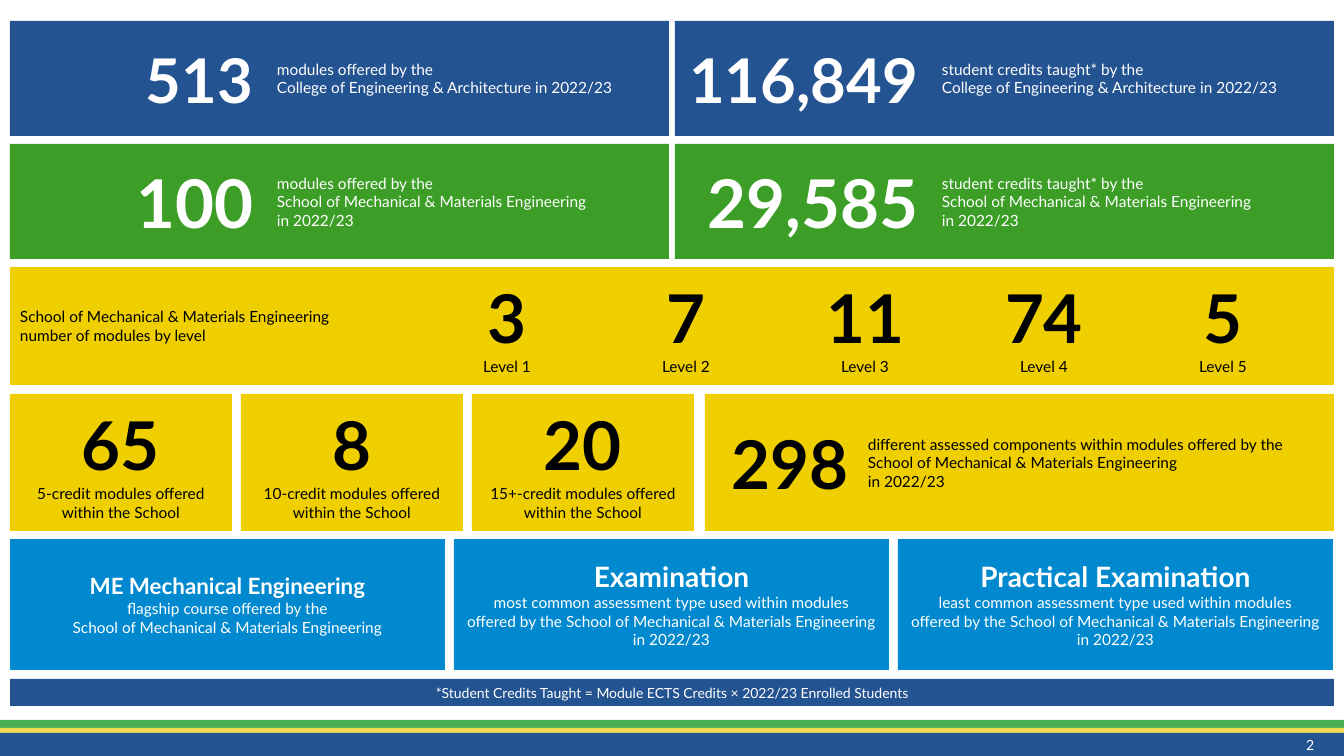
from pptx import Presentation
from pptx.dml.color import RGBColor
from pptx.enum.shapes import MSO_SHAPE as SHAPE
from pptx.enum.text import MSO_ANCHOR as ANCHOR, PP_ALIGN as ALIGN
from pptx.util import Emu, Pt

FONT = "Lato"
WHITE, BLACK = "FFFFFF", "000000"
NAVY, GREEN, YELLOW, BLUE = "245391", "3C9E27", "EFCF00", "0089CF"
BAND_GREEN, BAND_YELLOW = "4AAF55", "F4DB52"
SCHOOL = "School of Mechanical & Materials Engineering"
COLLEGE = "College of Engineering & Architecture in 2022/23"
YEAR = "in 2022/23"
LEFT, FULL_WIDTH = 10, 1324


def px(length):
    return Emu(round(length * 914400 / 100.8))


def color(code):
    return RGBColor.from_string(code)


def write(box, lines, ink, align=ALIGN.LEFT, indent=0):
    """Fill a box with paragraphs given as (text, size, bold)."""
    frame = box.text_frame
    frame.word_wrap = True
    frame.vertical_anchor = ANCHOR.MIDDLE
    frame.text = "\n".join(text for text, size, bold in lines)
    for para, (text, size, bold) in zip(frame.paragraphs, lines):
        para.alignment = align
        if indent:
            para._p.get_or_add_pPr().set("marL", str(px(indent)))
        font = para.runs[0].font
        font.name, font.size, font.bold = FONT, Pt(size), bold
        font.color.rgb = color(ink)


def add_tile(page, place, fill):
    tile = page.shapes.add_shape(SHAPE.RECTANGLE, *map(px, place))
    tile.shadow.inherit = False
    tile.fill.solid()
    tile.fill.fore_color.rgb = color(fill)
    tile.line.fill.background()
    return tile


def add_label(page, place, text, size, bold, ink):
    """Right-aligned text without a background."""
    label = page.shapes.add_textbox(*map(px, place))
    write(label, [(text, size, bold)], ink, ALIGN.RIGHT)


def body(*texts):
    return [(text, 11, False) for text in texts]


def add_side_tile(page, place, fill, ink, number, size, texts, indent, number_width):
    """Large number on the left, description beside it."""
    left, top, width, height = place
    write(add_tile(page, place, fill), body(*texts), ink, indent=indent)
    add_label(page, (left, top, number_width, height), number, size, True, ink)


def add_stacked_tile(page, place, fill, ink, heading, size, texts):
    """Large heading above a centred description."""
    lines = [(heading, size, True)] + body(*texts)
    write(add_tile(page, place, fill), lines, ink, ALIGN.CENTER)


def main():
    deck = Presentation()
    deck.slide_width, deck.slide_height = px(1344), px(756)
    page = deck.slides.add_slide(deck.slide_layouts[6])

    # Footer bands and page number
    for top, height, fill in [(720, 8, BAND_GREEN), (728, 5, BAND_YELLOW), (733, 23, NAVY)]:
        add_tile(page, (0, top, 1344, height), fill)
    add_label(page, (1283, 733, 41, 23), "2", 10, False, WHITE)

    # College and school totals
    totals = [
        (21, NAVY, 44, ("513", "116,849"), [COLLEGE]),
        (144, GREEN, 48, ("100", "29,585"), [SCHOOL, YEAR]),
    ]
    openings = ("modules offered by the", "student credits taught* by the")
    for top, fill, size, numbers, unit in totals:
        for column, (number, opening) in enumerate(zip(numbers, openings)):
            place = (LEFT + 665 * column, top, 659, 115)
            add_side_tile(page, place, fill, WHITE, number, size,
                          [opening, *unit], 257, 253)

    # Modules by level
    level_row = add_tile(page, (LEFT, 267, FULL_WIDTH, 118), YELLOW)
    write(level_row, body(SCHOOL, "number of modules by level"), BLACK)
    for index, count in enumerate(["3", "7", "11", "74", "5"]):
        place = (418 + 179 * index, 267, 178, 118)
        add_stacked_tile(page, place, YELLOW, BLACK, count, 48, [f"Level {index + 1}"])

    # Modules by credit size, and assessed components
    for index, (count, credit) in enumerate([("65", "5"), ("8", "10"), ("20", "15+")]):
        place = (LEFT + 231 * index, 394, 222, 137)
        add_stacked_tile(page, place, YELLOW, BLACK, count, 48,
                         [f"{credit}-credit modules offered within the School"])
    components = [f"different assessed components within modules offered by the {SCHOOL}", YEAR]
    add_side_tile(page, (705, 394, 629, 137), YELLOW, BLACK, "298", 48, components, 153, 153)

    # Course and assessment highlights
    offered = f"offered by the {SCHOOL}"
    highlights = [
        ("ME Mechanical Engineering", 16, ["flagship course offered by the", SCHOOL]),
        ("Examination", 20,
         ["most common assessment type used within modules", offered, YEAR]),
        ("Practical Examination", 20,
         ["least common assessment type used within modules", offered, YEAR]),
    ]
    for index, (heading, size, texts) in enumerate(highlights):
        place = (LEFT + 444 * index, 539, 435, 131)
        add_stacked_tile(page, place, BLUE, WHITE, heading, size, texts)

    # Footnote
    footnote = "*Student Credits Taught = Module ECTS Credits × 2022/23 Enrolled Students"
    write(add_tile(page, (LEFT, 679, FULL_WIDTH, 27), NAVY),
          [(footnote, 10, False)], WHITE, ALIGN.CENTER)

    deck.save("out.pptx")


if __name__ == "__main__":
    main()
